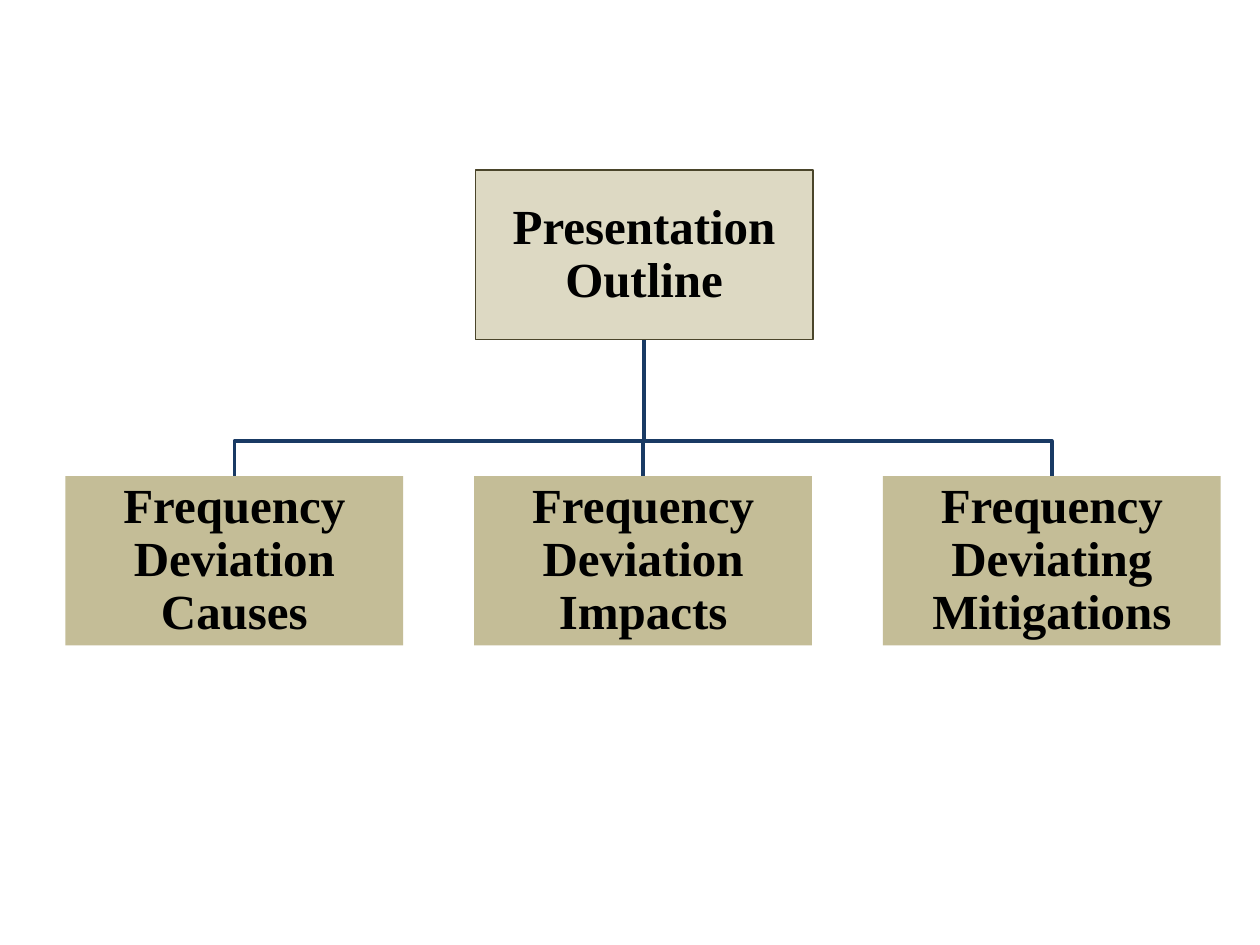
from pptx import Presentation
from pptx.dml.color import RGBColor
from pptx.enum.shapes import MSO_SHAPE as Preset
from pptx.enum.text import MSO_ANCHOR as Anchor, PP_ALIGN as Align
from pptx.util import Cm, Pt

BOX_WIDTH, BOX_HEIGHT = 6.81, 3.41
ROOT_LEFT, ROOT_TOP = 9.58, 3.43
BRANCH_LEFT, BRANCH_TOP, BRANCH_STEP = 1.32, 9.6, 8.24
BUS_Y = 8.89
TOPICS = (
    "Frequency Deviation Causes",
    "Frequency Deviation Impacts",
    "Frequency Deviating Mitigations",
)


def color(hex_code):
    return RGBColor.from_string(hex_code)


def write(frame, text, *, size=28, font="Times New Roman", ink="000000", bold=True):
    frame.word_wrap = True
    frame.vertical_anchor = Anchor.MIDDLE
    frame.margin_left = frame.margin_right = Cm(0.05)
    frame.margin_top = frame.margin_bottom = Cm(0.05)
    paragraph = frame.paragraphs[0]
    paragraph.alignment = Align.CENTER
    paragraph.line_spacing = 0.9
    run = paragraph.add_run()
    run.text = text
    run.font.size = Pt(size)
    run.font.name = font
    run.font.bold = bold
    run.font.color.rgb = color(ink)


class OutlineChart:
    """Draws the outline tree on one slide; lengths are centimetres."""

    branch_line = "193A64"
    branch_width = 2

    def __init__(self, slide):
        self.slide = slide

    def box(self, text, left, top, fill, border=None):
        box = self.slide.shapes.add_shape(
            Preset.RECTANGLE, Cm(left), Cm(top), Cm(BOX_WIDTH), Cm(BOX_HEIGHT)
        )
        box.shadow.inherit = False
        box.fill.solid()
        box.fill.fore_color.rgb = color(fill)
        if border:
            box.line.color.rgb = color(border)
            box.line.width = Pt(0.75)
        else:
            box.line.fill.background()
        write(box.text_frame, text)

    def branch(self, start_x, end_x):
        """Run from the root's bottom along the bus to a topic's top."""
        outline = self.slide.shapes.build_freeform(
            Cm(start_x), Cm(ROOT_TOP + BOX_HEIGHT)
        )
        corners = ((start_x, BUS_Y), (end_x, BUS_Y), (end_x, BRANCH_TOP))
        outline.add_line_segments([(Cm(x), Cm(y)) for x, y in corners], close=False)
        branch = outline.convert_to_shape()
        branch.shadow.inherit = False
        branch.fill.background()
        branch.line.color.rgb = color(self.branch_line)
        branch.line.width = Pt(self.branch_width)


def main():
    deck = Presentation()
    deck.slide_width, deck.slide_height = Cm(25.4), Cm(19.05)
    chart = OutlineChart(deck.slides.add_slide(deck.slide_layouts[6]))

    topic_lefts = [BRANCH_LEFT + i * BRANCH_STEP for i in range(len(TOPICS))]
    for left in reversed(topic_lefts):
        chart.branch(ROOT_LEFT + BOX_WIDTH / 2, left + BOX_WIDTH / 2)

    chart.box("Presentation Outline", ROOT_LEFT, ROOT_TOP, "DDD9C3", border="4A452A")
    for topic, left in zip(TOPICS, topic_lefts):
        chart.box(topic, left, BRANCH_TOP, "C4BD97")

    deck.save("out.pptx")


if __name__ == "__main__":
    main()
